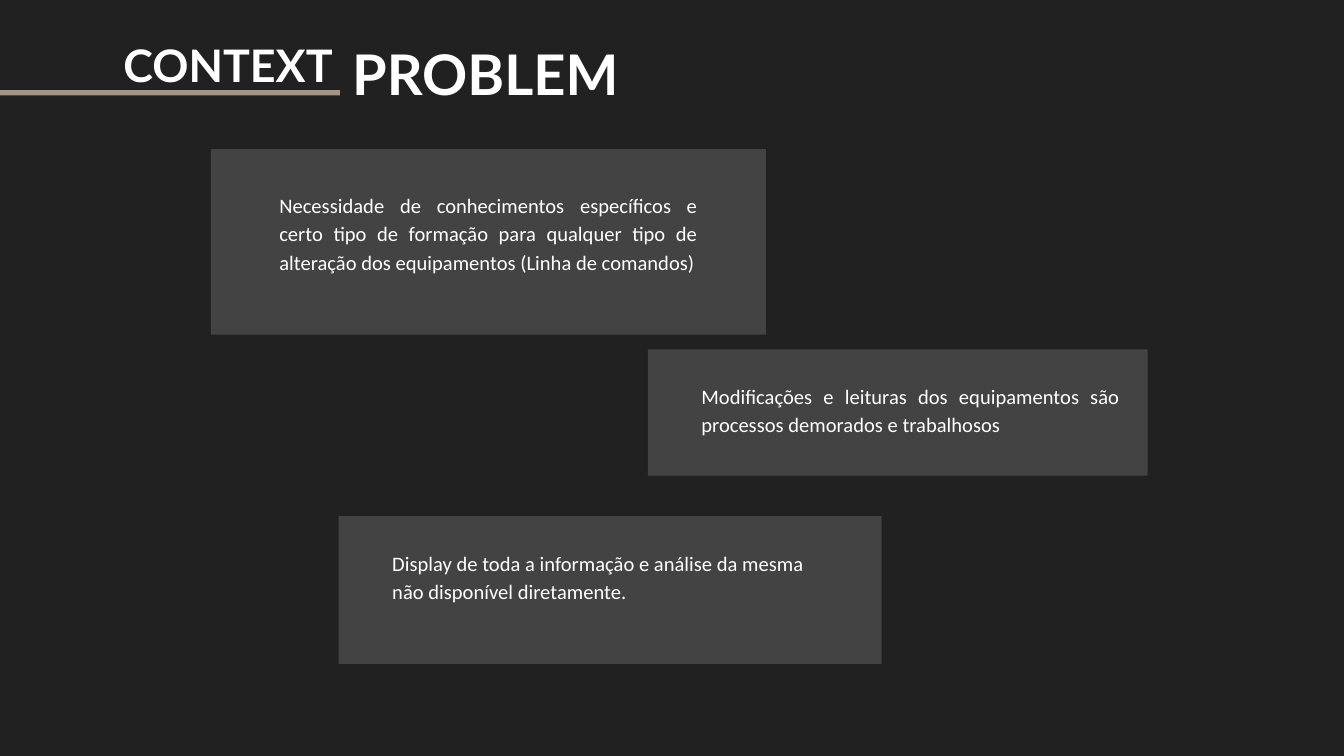
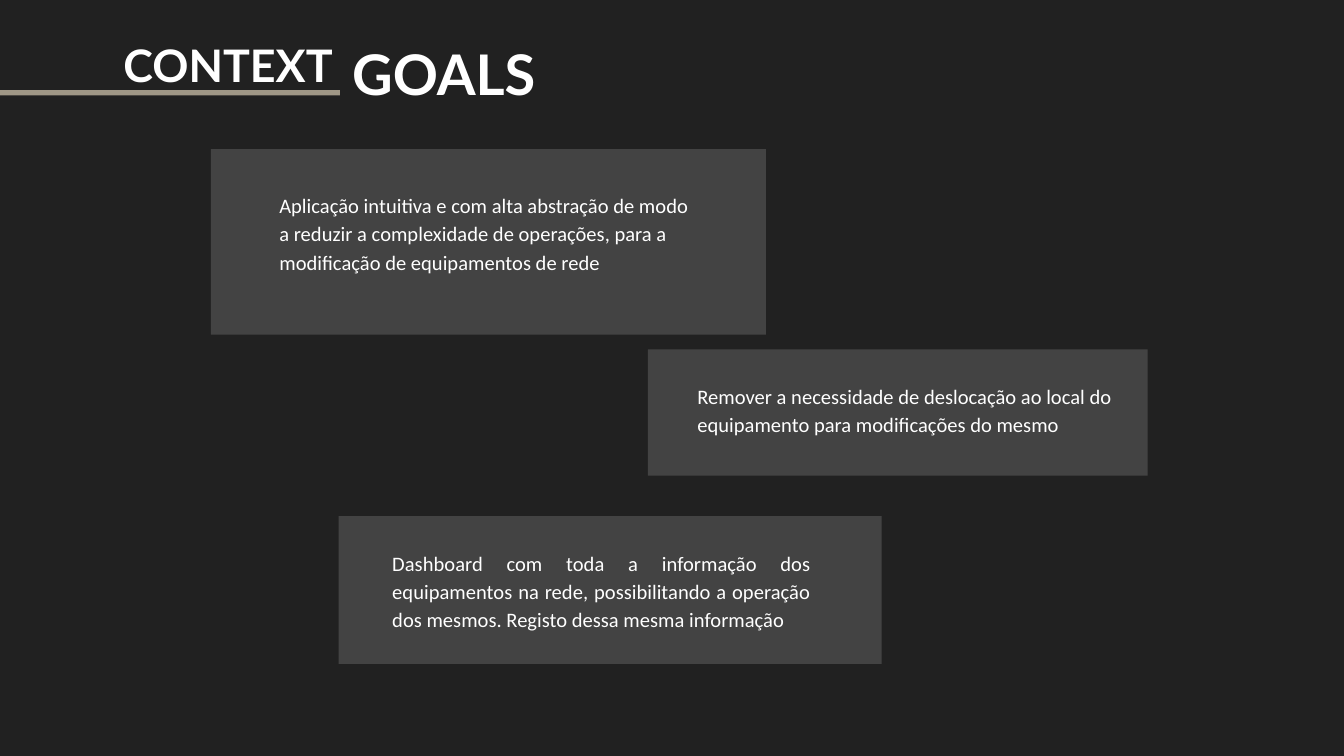
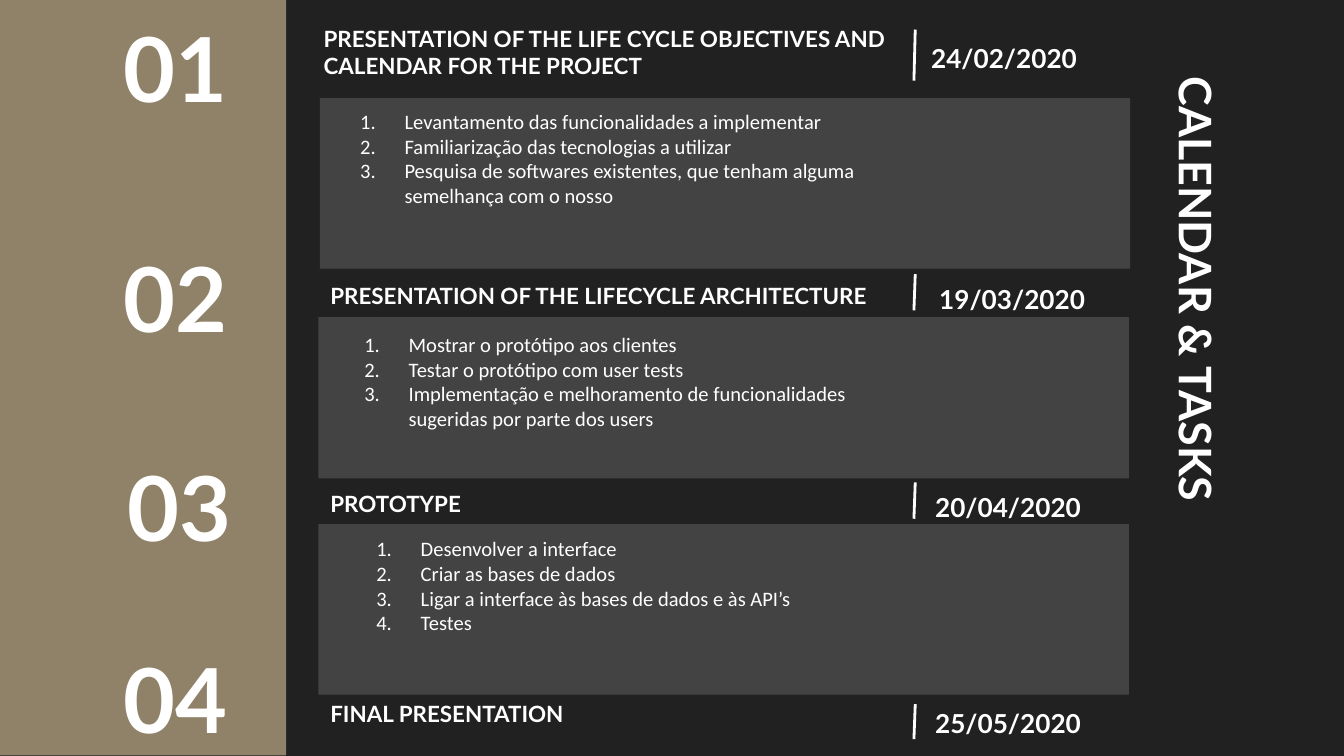
from lxml.etree import SubElement as Sub
from pptx import Presentation as Deck
from pptx.dml.color import RGBColor
from pptx.enum.shapes import MSO_CONNECTOR as Link, MSO_SHAPE as Form
from pptx.enum.text import MSO_ANCHOR as Anchor, MSO_AUTO_SIZE as Fit, PP_ALIGN as Align
from pptx.oxml.ns import qn
from pptx.util import Inches, Pt

hue = RGBColor.from_string
WHITE, DARK, GREY, SAND, TAN = "FFFFFF", "212121", "434343", "CFC3AC", "908269"
LEFT, EVEN = Align.LEFT, Align.JUSTIFY

HEAD = {"name": "Lato", "bold": True}
BODY = {"name": "Calibri", "bold": False, "size": Pt(11)}
FRAME = {"word_wrap": True, "auto_size": Fit.NONE, "vertical_anchor": Anchor.TOP}
PARA = {"alignment": LEFT, "line_spacing": 1.0, "space_before": Pt(0), "space_after": Pt(0)}
LOOSE = {"line_spacing": 1.15}
MID = {"vertical_anchor": Anchor.MIDDLE}
LOW = {"vertical_anchor": Anchor.BOTTOM}


def block(slide, place, fill):
    shape = slide.shapes.add_shape(Form.RECTANGLE, *map(Inches, place))
    shape.shadow.inherit = False
    shape.fill.solid()
    shape.fill.fore_color.rgb = hue(fill)
    shape.line.fill.background()
    return shape


def write(slide, place, lines, font, frame={}, para={}, holder=None, inset=0.1):
    shape = holder or slide.shapes.add_textbox(0, 0, 0, 0)
    shape.left, shape.top, shape.width, shape.height = map(Inches, place)
    text = shape.text_frame
    text.text = "\n".join(lines)
    sides = {"margin_" + side: Inches(inset) for side in ("left", "top", "right", "bottom")}
    for name, value in {**FRAME, **sides, **frame}.items():
        setattr(text, name, value)
    for line in text.paragraphs:
        for name, value in {**PARA, **para}.items():
            setattr(line, name, value)
        run = line.runs[0]
        for name, value in font.items():
            setattr(run.font, name, value)
        run.font.color.rgb = hue(WHITE)
    return shape


deck = Deck()
deck.slide_width = Inches(10)
deck.slide_height = deck.slide_width * 9 // 16
ground = deck.slide_master.background.fill
ground.solid()
ground.fore_color.rgb = hue(DARK)

cards = [(1.57, 1.11, 4.13, 1.38), (4.82, 2.6, 3.72, 0.94), (2.52, 3.84, 4.04, 1.1)]
topics = [
    ("PROBLEM", [
        (1.98, 1.31, EVEN, "Necessidade de conhecimentos específicos e certo tipo de formação "
         "para qualquer tipo de alteração dos equipamentos (Linha de comandos)"),
        (5.12, 2.73, EVEN, "Modificações e leituras dos equipamentos são processos demorados "
         "e trabalhosos"),
        (2.82, 3.97, LEFT, "Display de toda a informação e análise da mesma não disponível "
         "diretamente.")]),
    ("GOALS", [
        (1.98, 1.31, LEFT, "Aplicação intuitiva e com alta abstração de modo a reduzir a "
         "complexidade de operações, para a modificação de equipamentos de rede"),
        (5.09, 2.73, LEFT, "Remover a necessidade de deslocação ao local do equipamento para "
         "modificações do mesmo"),
        (2.82, 3.97, EVEN, "Dashboard com toda a informação dos equipamentos na rede, "
         "possibilitando a operação dos mesmos. Registo dessa mesma informação")]),
]

for title, notes in topics:
    slide = deck.slides.add_slide(deck.slide_layouts.get_by_name("Title Only"))
    write(slide, (2.52, 0.28, 2.23, 0.53), [title], {**HEAD, "size": Pt(30)}, MID,
          holder=slide.shapes.title)
    bar = block(slide, (-0.01, 0.67, 2.54, 0.04), SAND)
    tint = next(bar.element.iter(qn("a:srgbClr")))
    Sub(tint, qn("a:alpha"), val="73000")
    write(slide, (0.82, 0.18, 1.78, 0.74), ["CONTEXT"], {**HEAD, "size": Pt(24)})
    for card, (left, top, align, note) in zip(cards, notes):
        block(slide, card, GREY)
        write(slide, (left, top, 3.31, 1.1), [note], BODY,
              para={**LOOSE, "alignment": align, "space_after": Pt(16)})

slide = deck.slides.add_slide(deck.slide_layouts.get_by_name("Comparison"))
title = write(slide, (7.1, 2.01, 3.61, 0.53), ["CALENDAR & TASKS"],
              {**HEAD, "size": Pt(24)}, MID, holder=slide.shapes.title)
title.rotation = 90
block(slide, (-0.04, 0, 2.17, 5.62), TAN)

steps = [
    ("PRESENTATION OF THE LIFE CYCLE OBJECTIVES AND CALENDAR FOR THE PROJECT",
     (2.31, 0.09, 4.77, 0.63), {}, (0.82, 0.18, 1.9, 0.63),
     "24/02/2020", (6.83, 0.18, 1.4, 0.63), (0.22, 0.6)),
    ("PRESENTATION OF THE LIFECYCLE ARCHITECTURE",
     (2.36, 1.77, 4.84, 0.63), LOW, (0.82, 1.89, 1.77, 0.63),
     "19/03/2020", (6.89, 1.97, 1.4, 0.42), (2.04, 2.31)),
    ("PROTOTYPE",
     (2.36, 3.32, 2.46, 0.63), LOW, (0.85, 3.45, 1.72, 0.63),
     "20/04/2020", (6.86, 3.52, 1.4, 0.63), (3.59, 3.86)),
    ("FINAL PRESENTATION",
     (2.36, 4.88, 2.46, 0.63), LOW, (0.82, 4.88, 1.72, 0.63),
     "25/05/2020", (6.86, 5.13, 1.4, 0.63), (5.24, 5.5)),
]
for count, (name, place, frame, spot, date, slot, span) in enumerate(steps, 1):
    write(slide, place, [name], {**HEAD, "size": Pt(12)}, frame)
    write(slide, spot, [f"{count:02}"], {**HEAD, "size": Pt(48)}, MID)
    write(slide, slot, [date], {**HEAD, "size": Pt(14)}, para=LOOSE)
    start, end = map(Inches, span)
    rule = slide.shapes.add_connector(Link.STRAIGHT, Inches(6.81), start, Inches(6.8), end)
    rule.line.width = Pt(1.5)
    rule.line.color.rgb = hue(WHITE)
    Sub(rule.element.find(qn("p:spPr")), qn("a:effectLst"))

tasks = [
    ((2.38, 0.73, 6.03, 1.27), (2.51, 0.81), [
        "Levantamento das funcionalidades a implementar",
        "Familiarização das tecnologias a utilizar",
        "Pesquisa de softwares existentes, que tenham alguma semelhança com o nosso"]),
    ((2.37, 2.36, 6.03, 1.2), (2.54, 2.47), [
        "Mostrar o protótipo aos clientes",
        "Testar o protótipo com user tests",
        "Implementação e melhoramento de funcionalidades sugeridas por parte dos users"]),
    ((2.37, 3.9, 6.03, 1.27), (2.63, 3.99), [
        "Desenvolver a interface",
        "Criar as bases de dados",
        "Ligar a interface às bases de dados e às API’s",
        "Testes"]),
]
title, *holders, spare = slide.placeholders
spare.element.getparent().remove(spare.element)
for holder, (card, point, lines) in zip(holders, tasks):
    block(slide, card, GREY)
    write(slide, (*point, 4.3, 1.1), lines, BODY, holder=holder, inset=0)
    holder.element.getparent().append(holder.element)
    for props in holder.element.iter(qn("a:pPr")):
        props.set("marL", str(Inches(0.5)))
        props.set("indent", str(Inches(-0.33)))
        Sub(Sub(props, qn("a:buClr")), qn("a:srgbClr"), val=WHITE)
        Sub(props, qn("a:buFont"), typeface="Calibri")
        Sub(props, qn("a:buAutoNum"), type="arabicPeriod")

deck.save("out.pptx")
